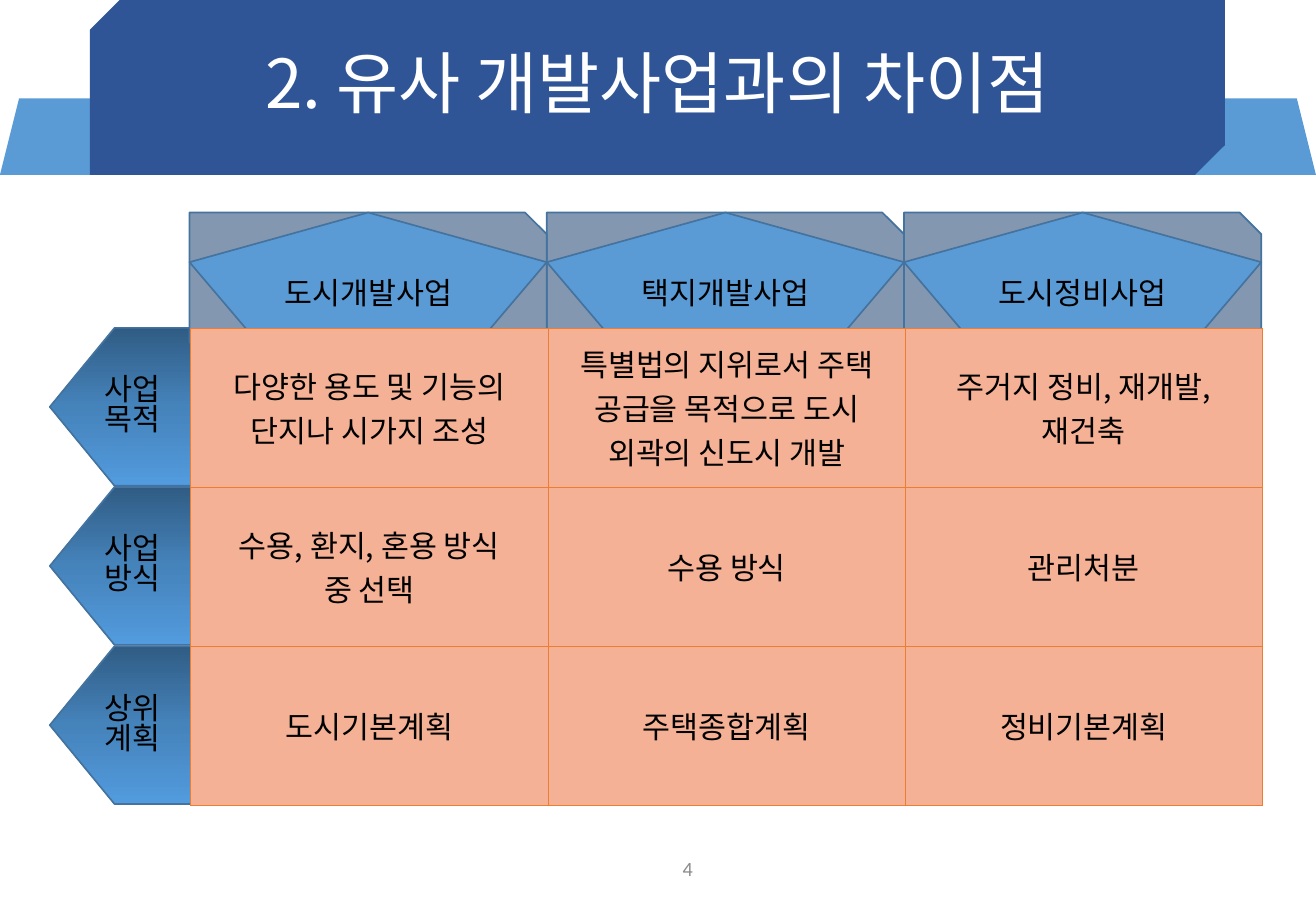
from copy import deepcopy

from lxml import etree
from pptx import Presentation
from pptx.dml.color import RGBColor
from pptx.enum import shapes as kinds, text as t
from pptx.oxml import ns
from pptx.util import Inches, Pt

WHITE = RGBColor(0xFF, 0xFF, 0xFF)
BLACK = RGBColor(0x00, 0x00, 0x00)
GRAY = RGBColor(0x8C, 0x8C, 0x8C)
NAVY = RGBColor(0x2F, 0x55, 0x97)
BLUE = RGBColor(0x5B, 0x9B, 0xD5)
SLATE = RGBColor(0x84, 0x97, 0xB0)
OUTLINE = RGBColor(0x43, 0x73, 0x9E)
SALMON = RGBColor(0xF5, 0xB1, 0x95)
ORANGE = RGBColor(0xED, 0x7D, 0x31)
GRADIENT = [
    (0, RGBColor(0x30, 0x5C, 0x84)),
    (0.5, RGBColor(0x45, 0x83, 0xBB)),
    (1, RGBColor(0x52, 0x9B, 0xDE)),
]
KOREAN = "Noto Sans CJK KR"
SHAPE = kinds.MSO_SHAPE
CENTER, LEFT = t.PP_ALIGN.CENTER, t.PP_ALIGN.LEFT

TABLE_LEFT, TABLE_TOP = 1.57, 2.7
COLUMN_WIDTH, ROW_HEIGHT = 2.94, 1.31
HEADERS = ["도시개발사업", "택지개발사업", "도시정비사업"]
ROW_LABELS = ["사업\v목적", "사업\n방식", "상위\n계획"]
CELLS = [
    ["다양한 용도 및 기능의\v단지나 시가지 조성",
     "특별법의 지위로서 주택\v공급을 목적으로 도시\v외곽의 신도시 개발",
     "주거지 정비, 재개발,\v재건축"],
    ["수용, 환지, 혼용 방식\v중 선택", "수용 방식", "관리처분"],
    ["도시기본계획", "주택종합계획", "정비기본계획"],
]


class SlideBuilder:
    def __init__(self, slide):
        self.slide = slide

    def set_text(self, frame, words, size=18, color=BLACK, font=KOREAN, align=CENTER,
                 spacing=None):
        frame.text = words
        frame.word_wrap = True
        frame.vertical_anchor = t.MSO_ANCHOR.MIDDLE
        for paragraph in frame.paragraphs:
            paragraph.alignment = align
            paragraph.line_spacing = spacing
            for run in paragraph.runs:
                for name, value in {"size": Pt(size), "name": font, "bold": False}.items():
                    setattr(run.font, name, value)
                run.font.color.rgb = color
                east_asian = etree.SubElement(run.font._element, ns.qn("a:ea"))
                east_asian.set("typeface", font)

    def shape(self, kind, box, fill, outline=None, adjustments=()):
        shape = self.slide.shapes.add_shape(kind, *map(Inches, box))
        shape.shadow.inherit = False
        for index, value in enumerate(adjustments):
            shape.adjustments[index] = value
        if isinstance(fill, list):
            self.gradient(shape, fill)
        else:
            shape.fill.solid()
            shape.fill.fore_color.rgb = fill
        if outline is None:
            shape.line.fill.background()
        else:
            shape.line.color.rgb = outline
            shape.line.width = Pt(1)
        return shape

    def gradient(self, shape, stops):
        """Fill from top to bottom with three colour stops."""
        shape.fill.gradient()
        shape.fill.gradient_angle = 270
        first = shape.element.spPr.find(".//" + ns.qn("a:gs"))
        first.addnext(deepcopy(first))
        for stop, (position, color) in zip(shape.fill.gradient_stops, stops):
            stop.position = position
            stop.color.rgb = color

    def title(self, words, box):
        title = self.slide.shapes.title
        for name, value in zip(("left", "top", "width", "height"), box):
            setattr(title, name, Inches(value))
        title.element.getparent().append(title.element)  # in front of the banner
        self.set_text(title.text_frame, words, size=40, color=WHITE, spacing=0.9)

    def text_box(self, words, box, **style):
        text_box = self.slide.shapes.add_textbox(*map(Inches, box))
        self.set_text(text_box.text_frame, words, **style)

    def border(self, cell):
        properties = cell._tc.get_or_add_tcPr()
        for side in ("lnL", "lnR", "lnT", "lnB"):
            line = etree.SubElement(properties, ns.qn(f"a:{side}"), w=str(Pt(0.5)))
            fill = etree.SubElement(line, ns.qn("a:solidFill"))
            etree.SubElement(fill, ns.qn("a:srgbClr"), val=str(ORANGE))

    def table(self, rows, left, top):
        row_count, column_count = len(rows), len(rows[0])
        table = self.slide.shapes.add_table(
            row_count, column_count, Inches(left), Inches(top),
            Inches(column_count * COLUMN_WIDTH), Inches(row_count * ROW_HEIGHT)).table
        table.first_row = table.horz_banding = False
        for row_index, row in enumerate(rows):
            for column_index, words in enumerate(row):
                cell = table.cell(row_index, column_index)
                self.border(cell)
                cell.fill.solid()
                cell.fill.fore_color.rgb = SALMON
                self.set_text(cell.text_frame, words)
                cell.vertical_anchor = t.MSO_ANCHOR.MIDDLE


def main():
    presentation = Presentation()
    presentation.slide_width, presentation.slide_height = Inches(10.83), Inches(7.5)
    builder = SlideBuilder(presentation.slides.add_slide(presentation.slide_layouts[5]))

    builder.shape(SHAPE.TRAPEZOID, (0, 0.81, 10.83, 0.63), BLUE)
    builder.shape(SHAPE.SNIP_2_DIAG_RECTANGLE, (0.74, 0, 9.34, 1.44), NAVY,
                  adjustments=(0.17, 0))
    builder.title("2. 유사 개발사업과의 차이점", (0.74, -0.01, 9.34, 1.45))
    builder.text_box("4", (4.44, 6.95, 2.44, 0.4), size=12, color=GRAY, font="Calibri")

    for index, label in enumerate(ROW_LABELS):
        box = (0.41, TABLE_TOP + index * ROW_HEIGHT, 2.09, 1.3)
        hexagon = builder.shape(SHAPE.HEXAGON, box, GRADIENT, OUTLINE, adjustments=(0.41,))
        builder.set_text(hexagon.text_frame, label, align=LEFT, spacing=0.82)

    for index, header in reversed(list(enumerate(HEADERS))):
        box = (1.56 + index * COLUMN_WIDTH, 1.75, COLUMN_WIDTH, 1.07)
        builder.shape(SHAPE.SNIP_1_RECTANGLE, box, SLATE, OUTLINE)
        pentagon = builder.shape(SHAPE.REGULAR_PENTAGON, box, BLUE, OUTLINE)
        builder.set_text(pentagon.text_frame, header)

    builder.table(CELLS, TABLE_LEFT, TABLE_TOP)
    presentation.save("out.pptx")


if __name__ == "__main__":
    main()
